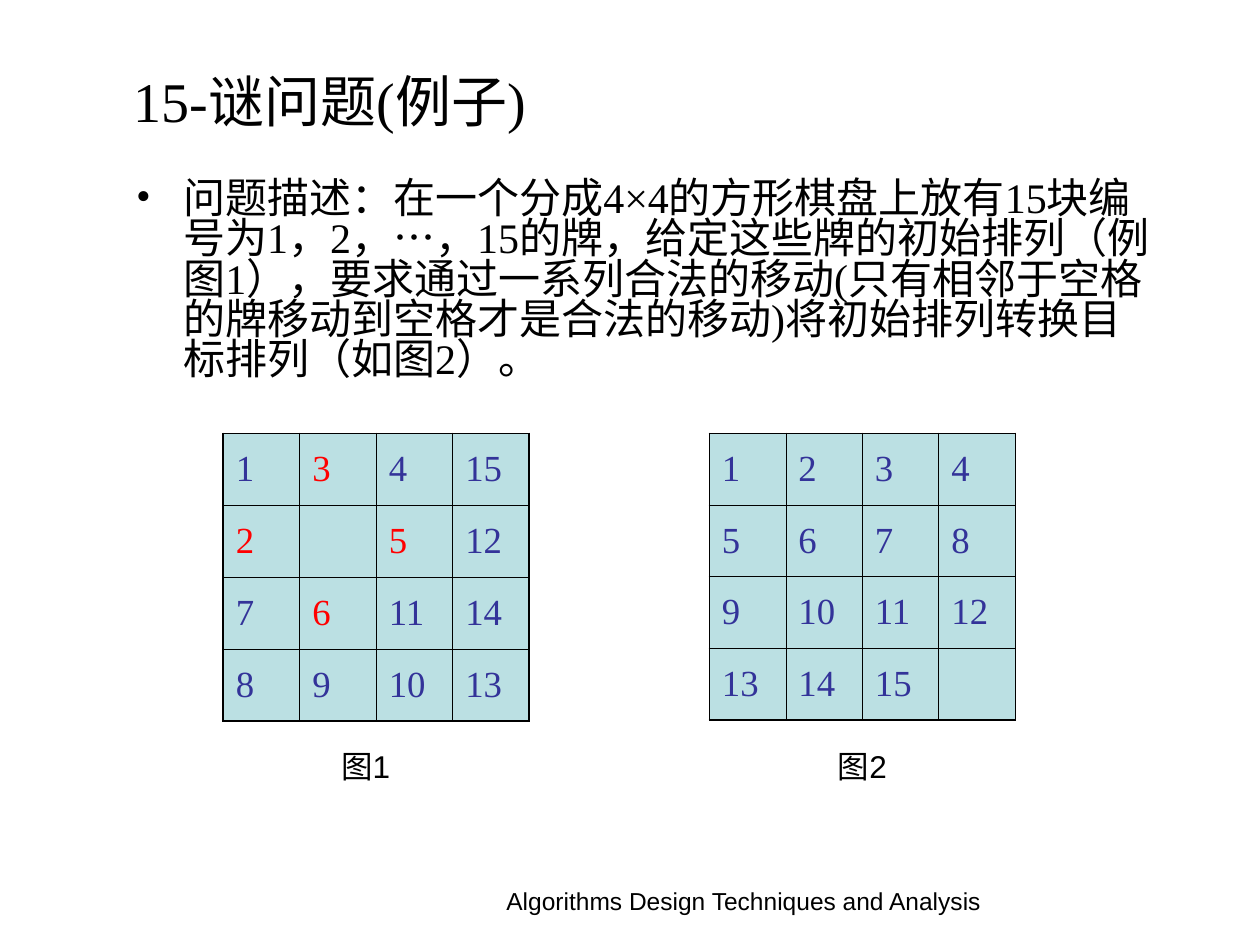
from lxml.etree import SubElement
from pptx import Presentation
from pptx.dml.color import RGBColor
from pptx.enum.text import MSO_ANCHOR, MSO_AUTO_SIZE, PP_ALIGN
from pptx.oxml import parse_xml
from pptx.oxml.ns import nsdecls, qn
from pptx.util import Cm, Pt


def color(value):
    return RGBColor.from_string(value)


class PuzzleSlide:
    """Hold the style and the current slide of the 15-puzzle example."""

    serif, sans = "Times New Roman", "Arial"
    ink, number_ink, accent, tile = "000000", "333399", "FF0000", "BBE0E3"
    inner_line, outer_line = 0.45, 1.08

    def __init__(self, deck):
        self.slide = deck.slides.add_slide(deck.slide_layouts[1])

    def style(self, paragraph, size, font, ink):
        for run in paragraph.runs:
            run.font.size = Pt(size)
            run.font.name = font
            run.font.color.rgb = color(ink)

    def place(self, holder, left, top, width, height):
        holder.left, holder.top = Cm(left), Cm(top)
        holder.width, holder.height = Cm(width), Cm(height)

    def fill_placeholder(self, holder, text, size, anchor, box):
        self.place(holder, *box)
        frame = holder.text_frame
        frame.text = text
        frame.auto_size = MSO_AUTO_SIZE.NONE
        frame.vertical_anchor = anchor
        paragraph = frame.paragraphs[0]
        paragraph.alignment = PP_ALIGN.LEFT
        paragraph.space_before = Pt(0)
        self.style(paragraph, size, self.serif, self.ink)
        return paragraph

    def title(self, text, box):
        self.fill_placeholder(self.slide.shapes.title, text, 32, MSO_ANCHOR.MIDDLE, box)

    def bullet(self, text, box):
        body = self.slide.placeholders[1]
        paragraph = self.fill_placeholder(body, text, 24, MSO_ANCHOR.TOP, box)
        paragraph.line_spacing = 0.8
        properties = paragraph._p.get_or_add_pPr()
        properties.set("marL", str(Cm(0.95)))
        properties.set("indent", str(-Cm(0.95)))
        bullet_color = SubElement(properties, qn("a:buClr"))
        SubElement(bullet_color, qn("a:srgbClr"), val=self.ink)
        SubElement(properties, qn("a:buFont"), typeface=self.serif)
        SubElement(properties, qn("a:buChar"), char="•")

    def label(self, text, size, box, wrap=False, align=PP_ALIGN.LEFT):
        frame = self.slide.shapes.add_textbox(*map(Cm, box)).text_frame
        frame.text = text
        frame.word_wrap = wrap
        paragraph = frame.paragraphs[0]
        paragraph.alignment = align
        self.style(paragraph, size, self.sans, self.ink)

    def borders(self, cell, outer_sides):
        properties = cell._tc.get_or_add_tcPr()
        for position, (side, is_outer) in enumerate(zip("LRTB", outer_sides)):
            width = Pt(self.outer_line if is_outer else self.inner_line)
            properties.insert(position, parse_xml(
                f'<a:ln{side} {nsdecls("a")} w="{width}"><a:solidFill>'
                f'<a:srgbClr val="{self.ink}"/></a:solidFill></a:ln{side}>'))

    def board(self, numbers, box, highlighted=()):
        count = len(numbers)
        last = count - 1
        table = self.slide.shapes.add_table(count, count, *map(Cm, box)).table
        table.first_row = table.horz_banding = False
        for row, values in enumerate(numbers):
            for column, number in enumerate(values):
                cell = table.cell(row, column)
                cell.fill.solid()
                cell.fill.fore_color.rgb = color(self.tile)
                cell.vertical_anchor = MSO_ANCHOR.MIDDLE
                cell.text = str(number)
                ink = self.accent if number in highlighted else self.number_ink
                self.style(cell.text_frame.paragraphs[0], 21, self.serif, ink)
                self.borders(cell, (column == 0, column == last, row == 0, row == last))


def main():
    deck = Presentation()
    deck.slide_width, deck.slide_height = Cm(25.4), Cm(19.05)
    puzzle = PuzzleSlide(deck)
    puzzle.title("15-谜问题(例子)", (2.44, 0.74, 21.87, 2.57))
    puzzle.bullet(
        "问题描述：在一个分成4×4的方形棋盘上放有15块编号为1，2，…，15的牌，"
        "给定这些牌的初始排列（例图1），要求通过一系列合法的移动"
        "(只有相邻于空格的牌移动到空格才是合法的移动)将初始排列转换目标排列（如图2）。",
        (2.49, 3.53, 21.21, 4.6))

    start = [[1, 3, 4, 15], [2, "", 5, 12], [7, 6, 11, 14], [8, 9, 10, 13]]
    tiles = [*range(1, 16), ""]
    goal = [tiles[first:first + 4] for first in range(0, 16, 4)]
    puzzle.board(start, (4.5, 8.74, 6.17, 5.79), highlighted=(2, 3, 5, 6))
    puzzle.board(goal, (14.3, 8.74, 6.17, 5.77))
    for caption, left in (("图1", 6.63), ("图2", 16.64)):
        puzzle.label(caption, 18, (left, 14.94, 1.65, 1.02))
    puzzle.label("Algorithms Design Techniques and Analysis", 14,
                 (9.7, 17.73, 10.59, 1.19), wrap=True, align=PP_ALIGN.CENTER)
    deck.save("out.pptx")


if __name__ == "__main__":
    main()
